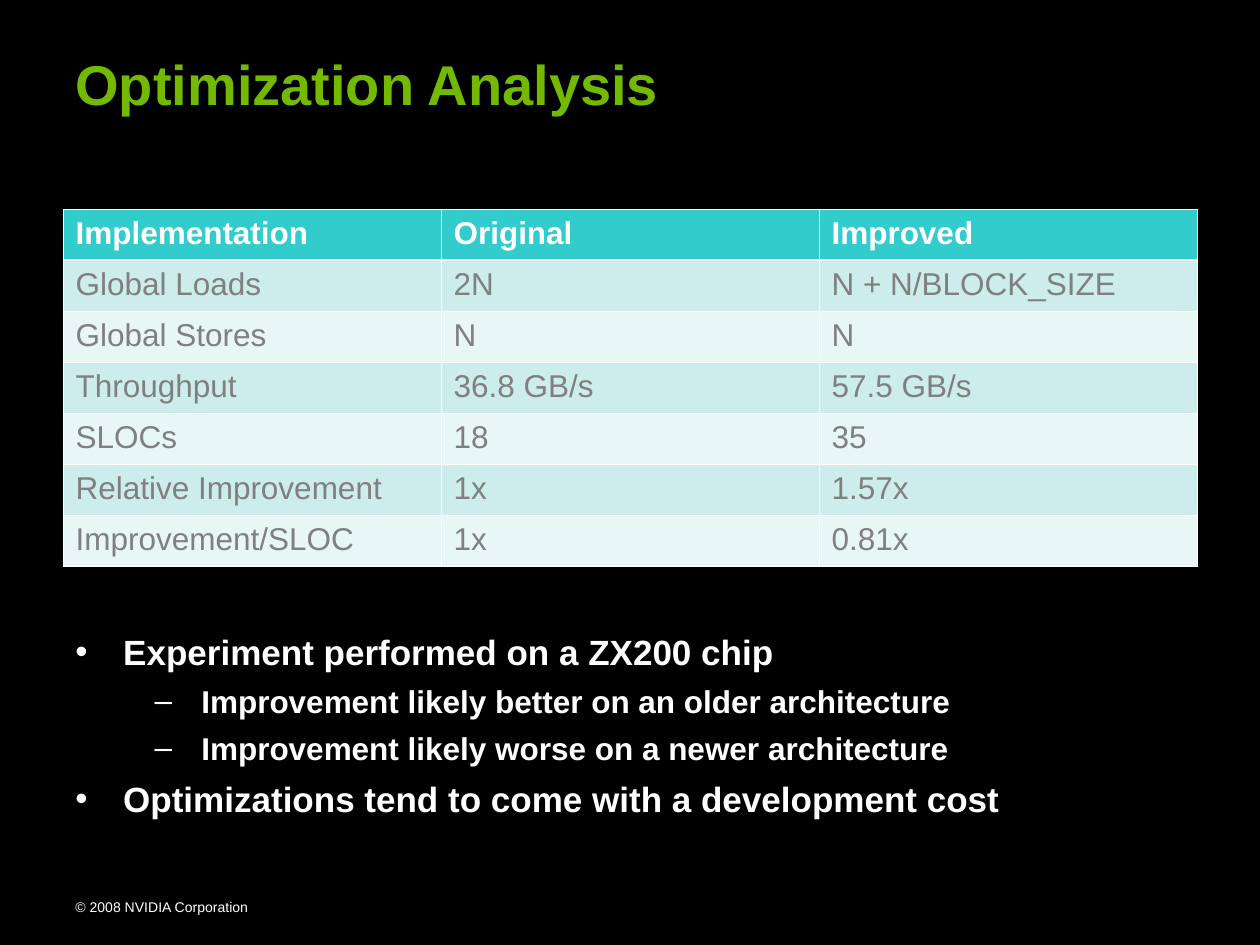
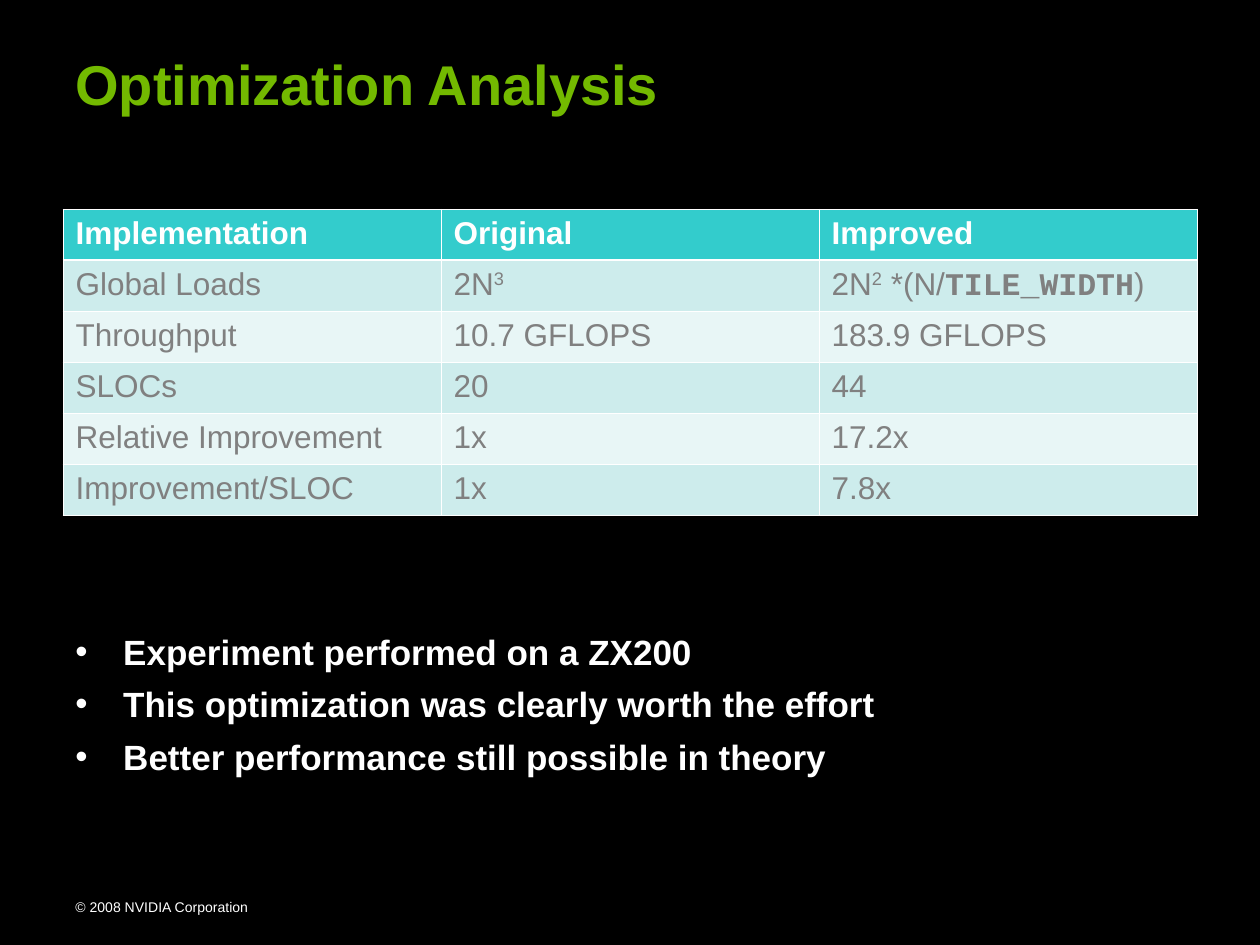
from pptx import Presentation
from pptx.dml.color import RGBColor
from pptx.enum.text import MSO_ANCHOR
from pptx.oxml import parse_xml
from pptx.oxml.ns import nsdecls
from pptx.util import Inches, Pt

# Shared style
BLACK = RGBColor(0x00, 0x00, 0x00)
WHITE = RGBColor(0xFF, 0xFF, 0xFF)
GREEN = RGBColor(0x73, 0xB9, 0x00)
GRAY = RGBColor(0x80, 0x80, 0x80)
TEAL = RGBColor(0x33, 0xCC, 0xCC)
TEAL_BANDS = (RGBColor(0xCD, 0xEC, 0xEC), RGBColor(0xE8, 0xF6, 0xF6))

TITLE = {"name": "Arial", "size": Pt(32), "bold": True}
FOOTER = {"name": "Arial", "size": Pt(8), "bold": False}
HEADER_CELL = {"name": "Arial", "size": Pt(18), "bold": True}
BODY_CELL = {**HEADER_CELL, "bold": False}
CODE = {"name": "Courier New", "bold": True}
SUPERSCRIPT = "superscript"

# Bullet levels: character, left indent, hanging indent, space before, size
LEVELS = (("•", 0.38, 0.38, 6, 20), ("–", 1.0, 0.37, 5.5, 18))

THIN, THICK = Pt(0.45), Pt(1.47)
LEFT, FULL_WIDTH = 0.5, 9
ROW_HEIGHT = 2.84 / 7
HEADINGS = ("Implementation", "Original", "Improved")


class Deck:
    def __init__(self):
        self.presentation = Presentation()
        self.presentation.slide_width = Inches(10)
        self.presentation.slide_height = Inches(7.5)
        self.slide = None

    def add_slide(self, title):
        self.slide = self.presentation.slides.add_slide(self.presentation.slide_layouts[6])
        fill = self.slide.background.fill
        fill.solid()
        fill.fore_color.rgb = BLACK
        self.line_of_text("© 2008 NVIDIA Corporation", 7.08, 2.25, 0.24, FOOTER, WHITE)
        self.line_of_text(title, 0.3, 8.08, 0.63, TITLE, GREEN, inset=0.09)

    def text_frame(self, top, width, height, inset):
        box = self.slide.shapes.add_textbox(
            Inches(LEFT), Inches(top), Inches(width), Inches(height))
        frame = box.text_frame
        frame.word_wrap = True
        frame.vertical_anchor = MSO_ANCHOR.TOP
        frame.margin_top = Inches(inset)
        frame.margin_bottom = Inches(0.03)
        return frame

    def add_run(self, paragraph, text, style, color):
        run = paragraph.add_run()
        run.text = text
        for name, value in style.items():
            setattr(run.font, name, value)
        run.font.color.rgb = color
        return run

    def line_of_text(self, text, top, width, height, style, color, inset=0.05):
        frame = self.text_frame(top, width, height, inset)
        self.add_run(frame.paragraphs[0], text, style, color)

    def bullets(self, items):
        frame = self.text_frame(4.93, FULL_WIDTH, 2.82, 0.07)
        for index, (level, text) in enumerate(items):
            character, indent, hanging, space, size = LEVELS[level]
            paragraph = frame.add_paragraph() if index else frame.paragraphs[0]
            if index:
                paragraph.space_before = Pt(space)
            paragraph.level = level
            properties = paragraph._p.get_or_add_pPr()
            properties.set("marL", str(Inches(indent)))
            properties.set("indent", str(-Inches(hanging)))
            for element in (f'<a:buClr {nsdecls("a")}><a:srgbClr val="{WHITE}"/></a:buClr>',
                            f'<a:buFont {nsdecls("a")} typeface="Arial"/>',
                            f'<a:buChar {nsdecls("a")} char="{character}"/>'):
                properties.append(parse_xml(element))
            self.add_run(paragraph, text, {**TITLE, "size": Pt(size)}, WHITE)

    def borders(self, cell, top, bottom):
        properties = cell._tc.get_or_add_tcPr()
        widths = {"lnL": THIN, "lnR": THIN, "lnT": top, "lnB": bottom}
        for position, (edge, width) in enumerate(widths.items()):
            properties.insert(position, parse_xml(
                f'<a:{edge} {nsdecls("a")} w="{width}"><a:solidFill>'
                f'<a:srgbClr val="{WHITE}"/></a:solidFill></a:{edge}>'))

    def table(self, body):
        rows = [HEADINGS, *body]
        table = self.slide.shapes.add_table(
            len(rows), len(HEADINGS), Inches(LEFT), Inches(1.66),
            Inches(FULL_WIDTH), Inches(ROW_HEIGHT * len(rows))).table
        table.horz_banding = False
        for row, values in enumerate(rows):
            for column, value in enumerate(values):
                cell = table.cell(row, column)
                cell.fill.solid()
                cell.fill.fore_color.rgb = TEAL_BANDS[(row - 1) % 2] if row else TEAL
                self.borders(cell, THICK if row == 1 else THIN, THIN if row else THICK)
                self.cell_text(cell, value, BODY_CELL if row else HEADER_CELL,
                               GRAY if row else WHITE)

    def cell_text(self, cell, value, style, color):
        """A value is a string, or a list of strings and (text, variation) pairs."""
        for part in [value] if isinstance(value, str) else value:
            text, variation = (part, {}) if isinstance(part, str) else part
            raised = variation == SUPERSCRIPT
            run_style = style if raised else {**style, **variation}
            run = self.add_run(cell.text_frame.paragraphs[0], text, run_style, color)
            if raised:
                run._r.get_or_add_rPr().set("baseline", "30000")


def main():
    deck = Deck()

    # Memory throughput comparison
    deck.add_slide("Optimization Analysis")
    deck.bullets([
        (0, "Experiment performed on a ZX200 chip"),
        (1, "Improvement likely better on an older architecture"),
        (1, "Improvement likely worse on a newer architecture"),
        (0, "Optimizations tend to come with a development cost"),
    ])
    deck.table([
        ("Global Loads", "2N", "N + N/BLOCK_SIZE"),
        ("Global Stores", "N", "N"),
        ("Throughput", "36.8 GB/s", "57.5 GB/s"),
        ("SLOCs", "18", "35"),
        ("Relative Improvement", "1x", "1.57x"),
        ("Improvement/SLOC", "1x", "0.81x"),
    ])

    # Tiled computation comparison
    deck.add_slide("Optimization Analysis")
    deck.bullets([
        (0, "Experiment performed on a ZX200"),
        (0, "This optimization was clearly worth the effort"),
        (0, "Better performance still possible in theory"),
    ])
    deck.table([
        ("Global Loads", ["2N", ("3", SUPERSCRIPT)],
         ["2N", ("2", SUPERSCRIPT), " *(N/", ("TILE_WIDTH", CODE), ")"]),
        ("Throughput", "10.7 GFLOPS", "183.9 GFLOPS"),
        ("SLOCs", "20", "44"),
        ("Relative Improvement", "1x", "17.2x"),
        ("Improvement/SLOC", "1x", "7.8x"),
    ])

    deck.presentation.save("out.pptx")


if __name__ == "__main__":
    main()
